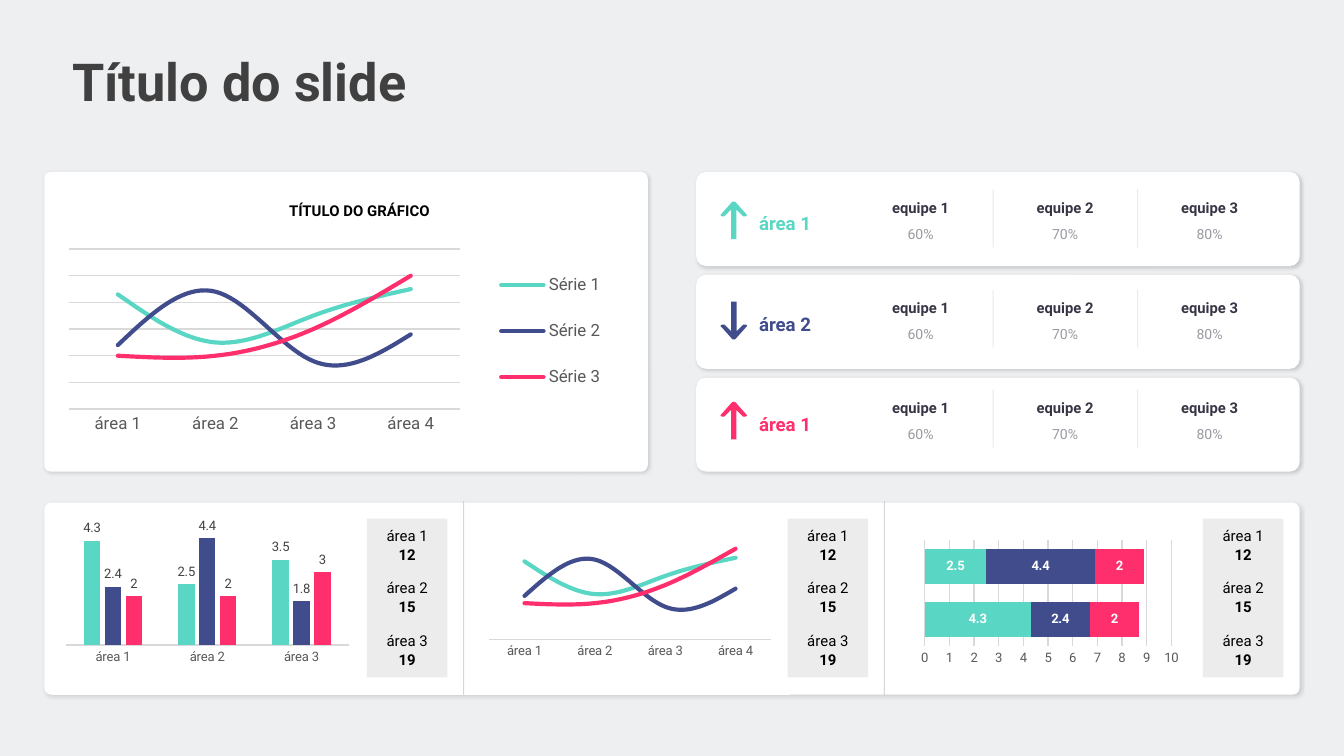
"""Build a dashboard slide with five cards, four charts and team figures."""
from lxml.etree import SubElement
from pptx import Presentation
from pptx.chart.data import CategoryChartData
from pptx.dml.color import RGBColor
from pptx.enum.chart import (XL_CHART_TYPE, XL_LABEL_POSITION, XL_LEGEND_POSITION,
                             XL_MARKER_STYLE, XL_TICK_MARK)
from pptx.enum.shapes import MSO_CONNECTOR, MSO_SHAPE
from pptx.enum.text import MSO_AUTO_SIZE, PP_ALIGN
from pptx.oxml import parse_xml
from pptx.oxml.ns import nsdecls, qn
from pptx.util import Inches, Pt

LINE, COLUMN, BAR = XL_CHART_TYPE.LINE, XL_CHART_TYPE.COLUMN_CLUSTERED, XL_CHART_TYPE.BAR_STACKED
OUTSIDE, MIDDLE = XL_LABEL_POSITION.OUTSIDE_END, XL_LABEL_POSITION.CENTER
LEGEND_RIGHT, NO_TICK = XL_LEGEND_POSITION.RIGHT, XL_TICK_MARK.NONE
NO_MARK = XL_MARKER_STYLE.NONE
LEFT, CENTER, FIT = PP_ALIGN.LEFT, PP_ALIGN.CENTER, MSO_AUTO_SIZE.SHAPE_TO_FIT_TEXT
ROUND, RECT, STRAIGHT = MSO_SHAPE.ROUNDED_RECTANGLE, MSO_SHAPE.RECTANGLE, MSO_CONNECTOR.STRAIGHT

FONT, INK, GRAY, RULE = "Roboto", "373545", "595959", "D9D9D9"
COLORS = ["5AD7C4", "414C8C", "FF2F6E"]
ROWS = [("área 1", 0), ("área 2", 180), ("área 1", 0)]
TEAMS = [("equipe 1", "60%"), ("equipe 2", "70%"), ("equipe 3", "80%")]
TOTALS = [("área 1", "12"), ("área 2", "15"), ("área 3", "19")]
AREAS = ["área 1", "área 2", "área 3", "área 4"]
CURVES = [(86, 50, 70, 90), (48, 88, 36, 56), (40, 40, 60, 100)]
GROUPS = [(4.3, 2.5, 3.5), (2.4, 4.4, 1.8), (2, 2, 3)]
STACKS = [(4.3, 2.5), (2.4, 4.4), (2, 2)]
ARROW = [(0.09, 0), (0.11, 0), (0.19, 0.09), (0.2, 0.1), (0.19, 0.11), (0.17, 0.11),
         (0.12, 0.06), (0.12, 0.28), (0.08, 0.28), (0.08, 0.06), (0.03, 0.11),
         (0.01, 0.11), (0, 0.1), (0.01, 0.09)]

deck = Presentation()
deck.slide_width = Inches(10)
deck.slide_height = deck.slide_width * 9 // 16
slide = deck.slides.add_slide(deck.slide_layouts[6])
shapes = slide.shapes


def color(code):
    return RGBColor.from_string(code)


def paint(fill, code):
    fill.solid()
    fill.fore_color.rgb = color(code)


def fade(item, share):
    for node in item._element.iter(qn("a:srgbClr")):
        SubElement(node, qn("a:alpha")).set("val", str(share * 1000))


def style(font, size, code, bold=False):
    font.name, font.size, font.bold = FONT, Pt(size), bold
    font.color.rgb = color(code)


def text(words, x, y, w, h, size, code, bold=False, align=CENTER):
    box = shapes.add_textbox(*map(Inches, (x, y, w, h)))
    frame = box.text_frame
    frame.word_wrap, frame.auto_size = True, FIT
    para = frame.paragraphs[0]
    para.text, para.alignment = words, align
    style(para.font, size, code, bold)
    return box


def plain(shape, code):
    shape.shadow.inherit = False
    paint(shape.fill, code)
    shape.line.fill.background()


def card(x, y, w, h, adj):
    shape = shapes.add_shape(ROUND, *map(Inches, (x, y, w, h)))
    shape.adjustments[0] = adj
    plain(shape, "FFFFFF")
    shape._element.spPr.find(qn("a:effectLst")).append(parse_xml(
        f'<a:outerShdw {nsdecls("a")} blurRad="25400" dist="12700" dir="2700000" algn="tl">'
        '<a:srgbClr val="000000"><a:alpha val="15000"/></a:srgbClr></a:outerShdw>'))


def divide(x, top, end, share):
    line = shapes.add_connector(STRAIGHT, *map(Inches, (x, top, x, end)))
    line.line.width = Pt(0.5)
    line.line.color.rgb = color(INK)
    SubElement(line._element.spPr, qn("a:effectLst"))
    fade(line, share)


def arrow(x, y, code, turn):
    first, *rest = [(Inches(x + dx), Inches(y + dy)) for dx, dy in ARROW]
    pen = shapes.build_freeform(*first)
    pen.add_line_segments(rest)
    shape = pen.convert_to_shape()
    plain(shape, code)
    shape.rotation = turn


def place(parent, area, index, inner=""):
    for old in parent.findall(qn("c:layout")):
        parent.remove(old)
    marks = "".join(f'<c:{key} val="{val}"/>' for key, val in zip("xywh", area))
    parent.insert(index, parse_xml(
        f'<c:layout {nsdecls("c")}><c:manualLayout>{inner}<c:xMode val="edge"/>'
        f'<c:yMode val="edge"/>{marks}</c:manualLayout></c:layout>'))


def graph(kind, at, plot, cats, rows, top, step, size=7, name="Series", grid=False):
    data = CategoryChartData()
    data.categories = cats
    for n, row in enumerate(rows, 1):
        data.add_series(f"{name} {n}", row)
    chart = shapes.add_chart(kind, *map(Inches, at), data).chart
    chart.has_title = chart.has_legend = False
    style(chart.font, size, "000000")
    cat, val = chart.category_axis, chart.value_axis
    val.minimum_scale, val.maximum_scale, val.major_unit = 0, top, step
    val.has_major_gridlines = grid
    if grid:
        rule = val.major_gridlines.format.line
        rule.color.rgb, rule.width = color(RULE), Pt(0.75)
    shown, hidden = (val, cat) if kind == BAR else (cat, val)
    hidden.visible = False
    shown.major_tick_mark = shown.minor_tick_mark = NO_TICK
    style(shown.tick_labels.font, size, GRAY)
    if kind == BAR:
        shown.format.line.fill.background()
    else:
        shown.format.line.color.rgb, shown.format.line.width = color(RULE), Pt(0.75)
    body = chart.plots[0]
    body.vary_by_categories = False
    if kind != LINE:
        body.gap_width, body.overlap = (50, 100) if kind == BAR else (219, -27)
    for series, code in zip(body.series, COLORS):
        if kind == LINE:
            series.smooth = True
            series.marker.style = NO_MARK
            series.format.line.color.rgb, series.format.line.width = color(code), Pt(2.25)
            series.format.line._get_or_add_ln().set("cap", "rnd")
        else:
            paint(series.format.fill, code)
            series.invert_if_negative = False
            tags = series.data_labels
            tags.show_value = True
            tags.position = MIDDLE if kind == BAR else OUTSIDE
            style(tags.font, size, "FFFFFF" if kind == BAR else "404040", kind == BAR)
    place(chart._chartSpace.find(".//" + qn("c:plotArea")), plot, 0,
          '<c:layoutTarget val="inner"/>')
    return chart


paint(slide.background.fill, "EEEFF1")
text("Título do slide", 0.44, 0.32, 4.42, 0.57, 28, "404040", True, LEFT)

card(0.33, 1.28, 4.49, 2.23, 0.022)
trend = graph(LINE, (0.31, 1.68, 4.43, 1.91), (0.046, 0.091, 0.656, 0.624),
              AREAS, CURVES, 120, 20, 9, "Série", True)
trend.has_legend = True
trend.legend.position, trend.legend.include_in_layout = LEGEND_RIGHT, False
style(trend.legend.font, 9, GRAY)
place(trend.legend._element, (0.755, 0.09, 0.2, 0.64), 1)
text("TÍTULO DO GRÁFICO", 1.23, 1.45, 2.89, 0.24, 8, "000000", True)

for n, ((area, turn), code) in enumerate(zip(ROWS, COLORS)):
    card(5.18, 1.28 + 0.765 * n, 4.49, 0.7, 0.105)
    y = 1.41 + 0.745 * n
    arrow(5.36, y + 0.09, code, turn)
    text(area, 5.55, y + 0.12, 0.74, 0.27, 10, code, True, LEFT)
    for m, (team, share) in enumerate(TEAMS):
        x = 6.48 + 1.075 * m
        text(team, x, y + 0.02, 0.74, 0.23, 7.9, INK, True)
        fade(text(share, x + 0.01, y + 0.22, 0.72, 0.23, 7.5, INK), 50)
        if m:
            divide(x - 0.165, y, y + 0.43, 10)

card(0.33, 3.74, 9.34, 1.43, 0.037)
for x in (3.45, 6.58):
    divide(x, 3.73, 5.17, 20)
for x in (2.73, 5.86, 8.95):
    plain(shapes.add_shape(RECT, *map(Inches, (x, 3.86, 0.6, 1.18))), "ECECEC")
    for n, (area, total) in enumerate(TOTALS):
        y = 3.87 + 0.39 * n
        text(area, x - 0.04, y, 0.68, 0.24, 8, "000000")
        text(total, x - 0.06, y + 0.14, 0.72, 0.24, 8, "000000", True)

graph(COLUMN, (0.44, 3.86, 2.16, 1.15), (0.023, 0.032, 0.977, 0.786), AREAS[:3], GROUPS, 5, 1)
graph(LINE, (3.54, 3.83, 2.2, 1.3), (0.046, 0.091, 0.954, 0.624), AREAS, CURVES, 120, 20)
graph(BAR, (6.78, 3.9, 2.06, 1.12), (0.049, 0.107, 0.891, 0.705), ["1", "2"], STACKS, 10, 1,
      grid=True)

deck.save("out.pptx")
